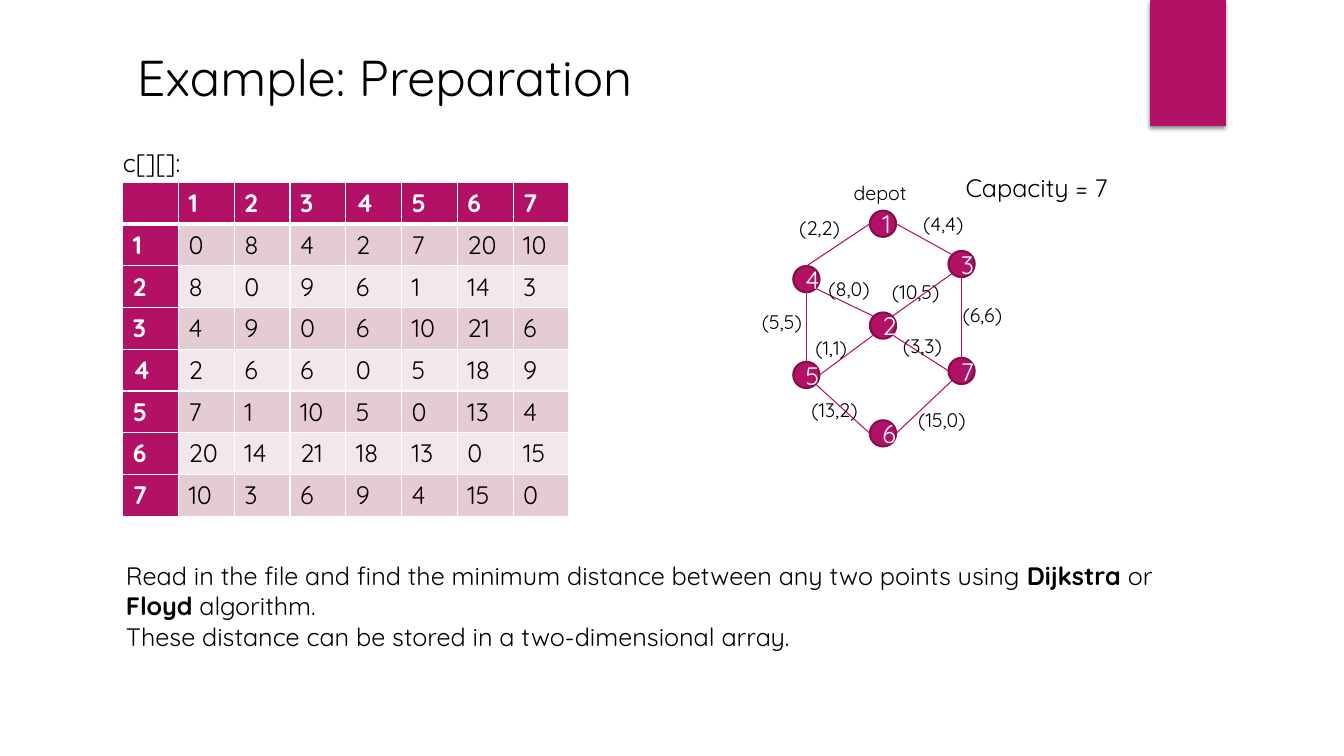
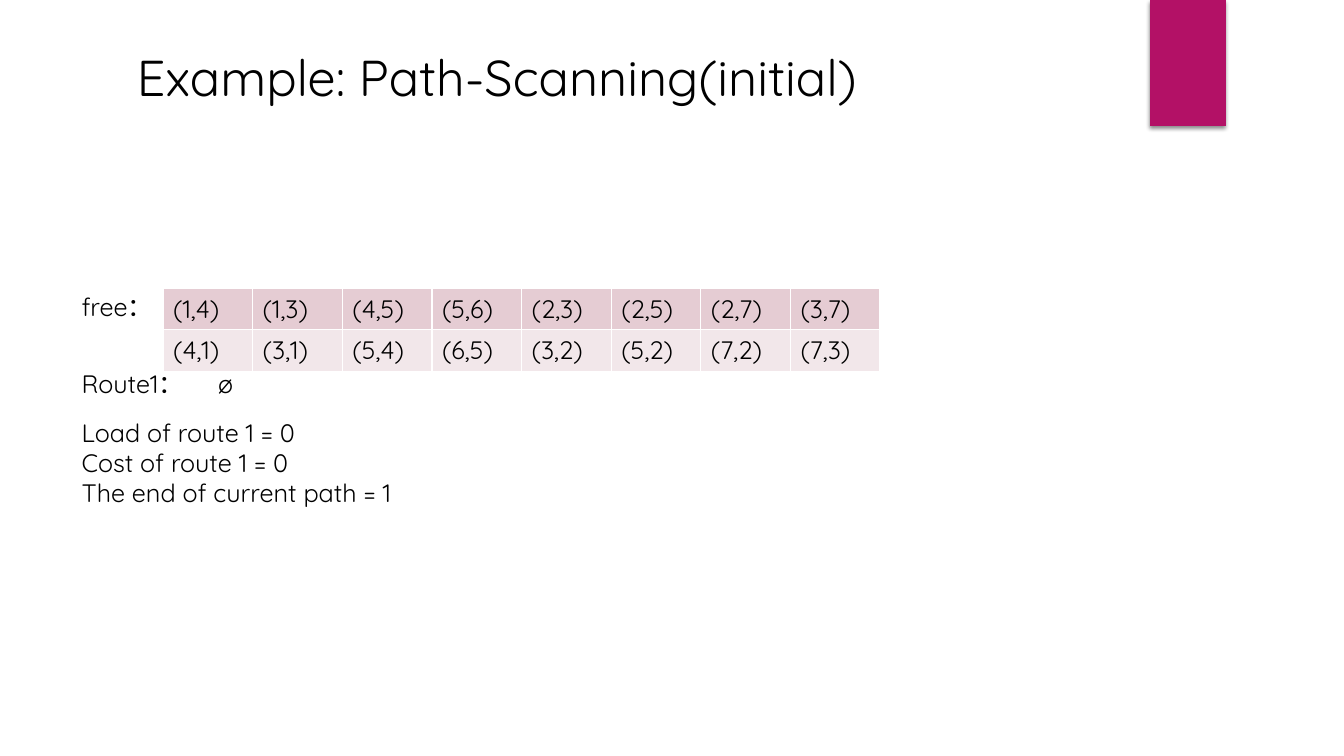
from dataclasses import dataclass
from math import cos, radians, sin

from lxml.etree import SubElement
from pptx import Presentation
from pptx.dml.color import RGBColor as RGB
from pptx.enum.shapes import MSO_CONNECTOR as Connector, MSO_SHAPE as Preset
from pptx.enum.text import MSO_ANCHOR as Anchor, MSO_AUTO_SIZE as AutoSize, PP_ALIGN as Align
from pptx.oxml.ns import qn
from pptx.util import Inches, Pt


@dataclass(frozen=True)
class Theme:
    font: str = "Quicksand"
    accent: str = "B31166"
    accent_dark: str = "840D4B"
    stripes: tuple = ("E5CCD3", "F2E7EA")
    ink: str = "000000"
    paper: str = "FFFFFF"
    title: int = 36
    body: int = 18
    label: int = 14


THEME = Theme()
WIDTH, HEIGHT = Inches(13.33), Inches(7.5)

# All lengths below are percentages of the slide's width or height
ROW_HEIGHT = 5.4
LINE_HEIGHT = 5.33
NODE_SIZE = 1.95

# Distance matrix between the seven points
COSTS = [
    [0, 8, 4, 2, 7, 20, 10],
    [8, 0, 9, 6, 1, 14, 3],
    [4, 9, 0, 6, 10, 21, 6],
    [2, 6, 6, 0, 5, 18, 9],
    [7, 1, 10, 5, 0, 13, 4],
    [20, 14, 21, 18, 13, 0, 15],
    [10, 3, 6, 9, 4, 15, 0],
]

# Graph: node centres, edges as (node, angle, node, angle), label corners
LEFT, MIDDLE, RIGHT = 60, 65.7, 71.55
NODES = {
    1: (MIDDLE, 29.6), 3: (RIGHT, 34.93), 2: (MIDDLE, 43.07), 4: (LEFT, 36.93),
    5: (LEFT, 49.6), 6: (MIDDLE, 57.33), 7: (RIGHT, 49.07),
}
EDGES = [
    (1, 180, 4, 270), (1, 0, 3, 225), (4, 90, 5, 270), (3, 90, 7, 270),
    (5, 45, 6, 180), (7, 135, 6, 0), (4, 45, 2, 225), (3, 135, 2, 315),
    (2, 135, 5, 0), (2, 45, 7, 180),
]
EDGE_LABELS = {
    "(2,2)": (58.73, 27.87), "(4,4)": (67.95, 27.33), "(5,5)": (55.95, 40.4),
    "(6,6)": (70.88, 39.47), "(8,0)": (60.9, 36), "(10,5)": (65.63, 36.4),
    "(1,1)": (59.93, 43.73), "(13,2)": (59.63, 52), "(15,0)": (67.58, 53.33),
    "(3,3)": (66.45, 43.47),
}

# Edges still to be served, each followed by its reverse in the next row
FREE_EDGES = [(1, 4), (1, 3), (4, 5), (5, 6), (2, 3), (2, 5), (2, 7), (3, 7)]


def across(share):
    return round(WIDTH * share / 100)


def down(share):
    return round(HEIGHT * share / 100)


def area(left, top, width, height):
    return across(left), down(top), across(width), down(height)


def paint(fill, color):
    fill.solid()
    fill.fore_color.rgb = RGB.from_string(color)


def write(paragraph, text, size=THEME.body, color=THEME.ink, bold=False):
    run = paragraph.add_run()
    run.text = text
    formats = {"name": THEME.font, "size": Pt(size), "bold": bold}
    for attribute, value in formats.items():
        setattr(run.font, attribute, value)
    run.font.color.rgb = RGB.from_string(color)


def add_text(slide, box, *lines, size=THEME.body, wrap=False, anchor=Anchor.TOP,
             fit=AutoSize.SHAPE_TO_FIT_TEXT):
    """Each line is a string or a list of (text, bold) pieces."""
    frame = slide.shapes.add_textbox(*area(*box)).text_frame
    formats = {"word_wrap": wrap, "auto_size": fit, "vertical_anchor": anchor}
    for attribute, value in formats.items():
        setattr(frame, attribute, value)
    for index, line in enumerate(lines):
        paragraph = frame.add_paragraph() if index else frame.paragraphs[0]
        pieces = [(line, False)] if isinstance(line, str) else line
        for text, bold in pieces:
            write(paragraph, text, size, bold=bold)
    return frame


def add_band(slide):
    band = slide.shapes.add_shape(Preset.RECTANGLE, *area(85.58, 0, 5.63, 16.67))
    paint(band.fill, THEME.accent)
    band.line.fill.background()
    band.shadow.inherit = False
    effects = band._element.spPr.find(qn("a:effectLst"))
    shadow = SubElement(effects, qn("a:outerShdw"), blurRad=str(Pt(3)), dist=str(Pt(2)),
                        dir="5400000", rotWithShape="0")
    color = SubElement(shadow, qn("a:srgbClr"), val=THEME.ink)
    SubElement(color, qn("a:alpha"), val="45000")


def add_slide(deck, title):
    slide = deck.slides.add_slide(deck.slide_layouts[6])
    add_band(slide)
    add_text(slide, (9.45, 4.93, 71.85, 10.27), title, size=THEME.title, wrap=True,
             anchor=Anchor.MIDDLE, fit=AutoSize.NONE)
    return slide


def add_borders(cell, top=1, bottom=1):
    properties = cell._tc.get_or_add_tcPr()
    for side, points in {"L": 1, "R": 1, "T": top, "B": bottom}.items():
        border = SubElement(properties, qn(f"a:ln{side}"), w=str(Pt(points)))
        fill = SubElement(border, qn("a:solidFill"))
        SubElement(fill, qn("a:srgbClr"), val=THEME.paper)


def add_grid(slide, left, top, column_width, rows, headed=False):
    box = area(left, top, column_width * len(rows[0]), ROW_HEIGHT * len(rows))
    grid = slide.shapes.add_table(len(rows), len(rows[0]), *box).table
    grid.first_row = grid.horz_banding = False
    for r, row in enumerate(rows):
        for c, value in enumerate(row):
            cell = grid.cell(r, c)
            heading = headed and (r == 0 or c == 0)
            add_borders(cell, top=3 if headed and r == 1 else 1,
                        bottom=3 if headed and r == 0 else 1)
            paint(cell.fill, THEME.accent if heading else THEME.stripes[(r - headed) % 2])
            write(cell.text_frame.paragraphs[0], str(value),
                  color=THEME.paper if heading else THEME.ink, bold=heading)


def add_node(slide, number, x, y):
    size = across(NODE_SIZE)
    node = slide.shapes.add_shape(Preset.OVAL, across(x) - size // 2, down(y) - size // 2,
                                  size, size)
    node.shadow.inherit = False
    paint(node.fill, THEME.accent)
    paint(node.line.fill, THEME.accent_dark)
    node.line.width = Pt(1.5)
    node.text_frame.vertical_anchor = Anchor.MIDDLE
    paragraph = node.text_frame.paragraphs[0]
    paragraph.alignment = Align.CENTER
    write(paragraph, str(number), color=THEME.paper)


def rim_point(number, angle):
    """Point on a node's outline, clockwise from its right side."""
    x, y = NODES[number]
    radius = across(NODE_SIZE) / 2
    turn = radians(angle)
    return round(across(x) + radius * cos(turn)), round(down(y) + radius * sin(turn))


def add_edge(slide, start, start_angle, end, end_angle):
    edge = slide.shapes.add_connector(Connector.STRAIGHT, *rim_point(start, start_angle),
                                      *rim_point(end, end_angle))
    paint(edge.line.fill, THEME.accent)
    edge.line.width = Pt(0.75)
    SubElement(edge._element.spPr, qn("a:effectLst"))


def add_graph(slide):
    for number, centre in NODES.items():
        add_node(slide, number, *centre)
    for edge in EDGES:
        add_edge(slide, *edge)
    add_text(slide, (62.78, 23.33, 5.93, 4.53), "depot", size=THEME.label)
    for label, corner in EDGE_LABELS.items():
        width = 4.65 if len(label) == 5 else 5.48
        add_text(slide, (*corner, width, 4.53), label, size=THEME.label)
    add_text(slide, (71.1, 22.13, 13.43, LINE_HEIGHT), "Capacity = 7")


def build_preparation(deck):
    slide = add_slide(deck, "Example: Preparation")
    points = range(1, len(COSTS) + 1)
    rows = [["", *points]] + [[point, *costs] for point, costs in zip(points, COSTS)]
    add_grid(slide, 9.13, 24.13, 4.15, rows, headed=True)
    add_graph(slide)
    add_text(slide, (8.4, 18.8, 5.93, LINE_HEIGHT), "c[][]:")
    add_text(
        slide, (8.63, 73.47, 82.73, 13.47),
        [("Read in the file and find the minimum distance between any two points using ", False),
         ("Dijkstra ", True), ("or ", False), ("Floyd", True), (" algorithm.", False)],
        "These distance can be stored in a two-dimensional array.", wrap=True)


def build_path_scanning(deck):
    slide = add_slide(deck, "Example: Path-Scanning(initial)")
    rows = [[f"({a},{b})" for a, b in FREE_EDGES], [f"({b},{a})" for a, b in FREE_EDGES]]
    add_grid(slide, 12.13, 38.1, 6.67, rows)
    margin = 5.33
    add_text(slide, (margin, 37.87, 7.05, LINE_HEIGHT), "free：")
    route = add_text(slide, (margin, 48, 13.2, LINE_HEIGHT), "Route1：\tø", wrap=True)
    # Tab stop that sets the empty route apart from its name
    stops = SubElement(route.paragraphs[0]._p.get_or_add_pPr(), qn("a:tabLst"))
    SubElement(stops, qn("a:tab"), pos=str(across(10.15)), algn="l")
    add_text(slide, (margin, 54.53, 26.33, 17.47), "Load of route 1 = 0",
             "Cost of route 1 = 0", "The end of current path = 1")


def main():
    deck = Presentation()
    deck.slide_width, deck.slide_height = WIDTH, HEIGHT
    build_preparation(deck)
    build_path_scanning(deck)
    deck.save("out.pptx")


if __name__ == "__main__":
    main()
